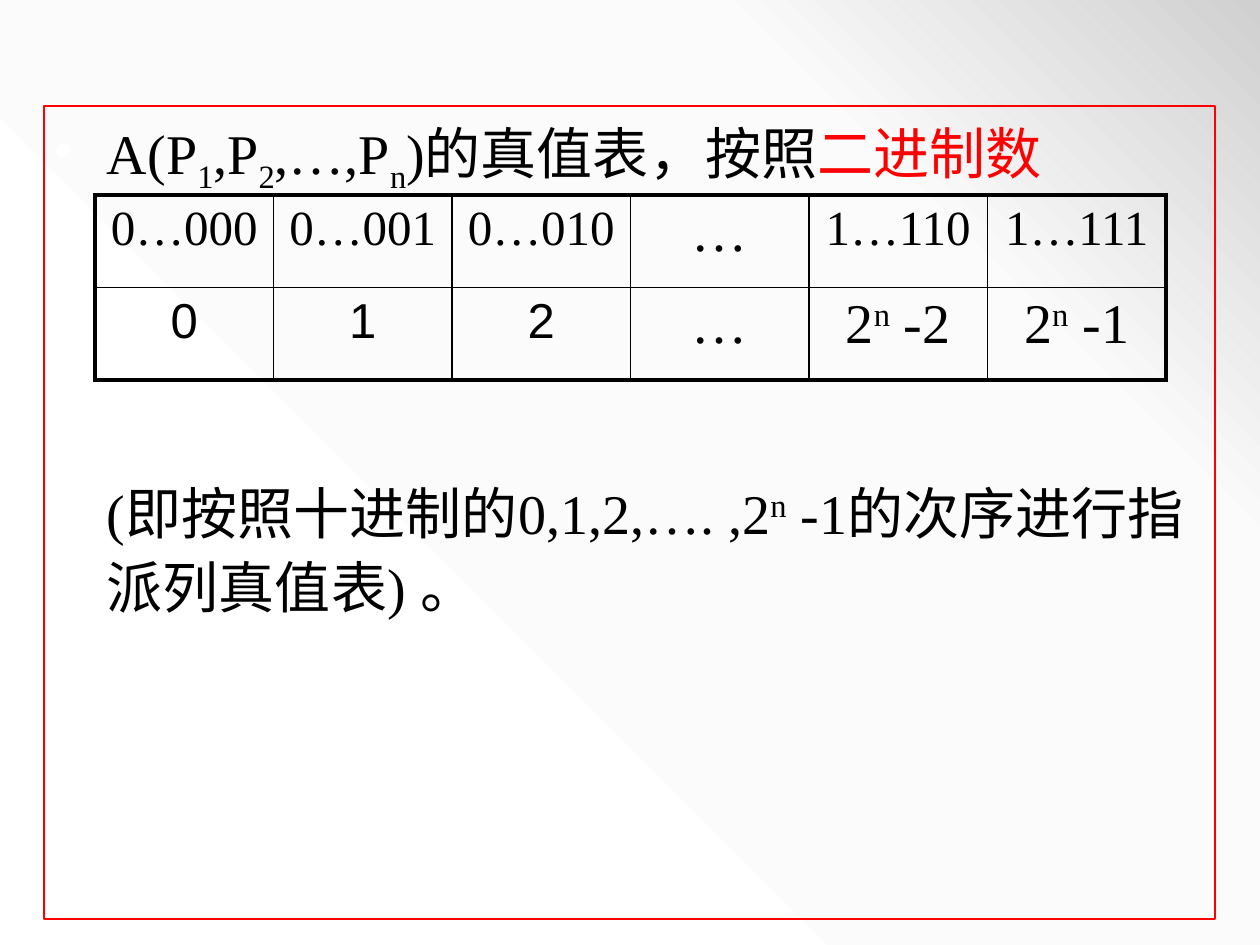
from copy import deepcopy

from lxml import etree
from pptx import Presentation
from pptx.dml.color import RGBColor
from pptx.enum.text import MSO_ANCHOR, PP_ALIGN
from pptx.oxml.ns import qn
from pptx.util import Emu, Pt

BLACK = RGBColor(0, 0, 0)
RED = RGBColor(255, 0, 0)
STOPS = [
    (0, RGBColor(0xFF, 0xFF, 0xFF)),
    (0.75, RGBColor(0xFB, 0xFB, 0xFB)),
    (1, RGBColor(0xD0, 0xD0, 0xD0)),
]
CENTER = PP_ALIGN.CENTER
LEFT = PP_ALIGN.LEFT
TOP = MSO_ANCHOR.TOP
SERIF = "Times New Roman"
SANS = "Arial"
SUB, SUPER = -25, 30
THIN, THICK = 1, 2.25

# Each paragraph is a list of runs: text, baseline shift, colour
TITLE = [
    ("A(P", 0, BLACK), ("1", SUB, BLACK), (",P", 0, BLACK),
    ("2", SUB, BLACK), (",…,P", 0, BLACK), ("n", SUB, BLACK),
    (")的真值表，按照", 0, BLACK), ("二进制数", 0, RED),
]
NOTE = [
    ("(即按照十进制的0,1,2,…. ,2", 0, BLACK), ("n", SUPER, BLACK),
    (" -1的次序进行指派列真值表) 。", 0, BLACK),
]


def power(tail):
    """Runs for 2 to the n, then the tail."""
    return [("2", 0, BLACK), ("n", SUPER, BLACK), (tail, 0, BLACK)]


def plain(text):
    return [(text, 0, BLACK)]


DOTS = (plain("…"), 32, SERIF)
ROWS = [
    [(plain("0…000"), 28, SERIF), (plain("0…001"), 28, SERIF),
     (plain("0…010"), 28, SERIF), DOTS,
     (plain("1…110"), 28, SERIF), (plain("1…111"), 28, SERIF)],
    [(plain("0"), 28, SANS), (plain("1"), 28, SANS),
     (plain("2"), 28, SANS), DOTS,
     (power(" -2"), 32, SERIF), (power(" -1"), 32, SERIF)],
]


def px(count):
    return Emu(round(count * 914400 / 126))


def paint(slide):
    """Fill the background with a three-stop gradient."""
    fill = slide.background.fill
    fill.gradient()
    fill.gradient_angle = 45
    last = slide.element.findall(".//" + qn("a:gs"))[-1]
    last.addnext(deepcopy(last))
    for stop, (place, color) in zip(fill.gradient_stops, STOPS):
        stop.position = place
        stop.color.rgb = color


def write(para, runs, size, font, align):
    para.alignment = align
    para.font.size = Pt(size)
    para.font.name = font
    for text, base, color in runs:
        run = para.add_run()
        run.text = text
        run.font.color.rgb = color
        if base:
            run.font._element.set("baseline", str(base * 1000))


def bullet(para):
    """Give the paragraph a white bullet and a hanging indent."""
    props = para._p.get_or_add_pPr()
    props.set("marL", str(px(53)))
    props.set("indent", str(-px(53)))
    tint = etree.SubElement(props, qn("a:buClr"))
    etree.SubElement(tint, qn("a:srgbClr"), val="FFFFFF")
    etree.SubElement(props, qn("a:buChar"), char="•")


def add_body(slide):
    box = slide.shapes.add_textbox(px(44), px(106), px(1171), px(813))
    box.line.color.rgb = RED
    box.line.width = Pt(0.75)
    frame = box.text_frame
    frame.word_wrap = True
    frame.vertical_anchor = TOP
    frame.margin_left = frame.margin_right = px(10)
    frame.margin_top = frame.margin_bottom = px(5)
    first, second = frame.paragraphs[0], frame.add_paragraph()
    for para, runs in ((first, TITLE), (second, NOTE)):
        bullet(para)
        para.line_spacing = 1.1
        write(para, runs, 32, SERIF, LEFT)
    second.space_before = Pt(158)


def edge(cell, side, width):
    props = cell._tc.get_or_add_tcPr()
    line = etree.SubElement(props, qn("a:" + side), w=str(Pt(width)))
    fill = etree.SubElement(line, qn("a:solidFill"))
    etree.SubElement(fill, qn("a:srgbClr"), val=str(BLACK))


def add_grid(slide):
    high, wide = len(ROWS), len(ROWS[0])
    frame = slide.shapes.add_table(high, wide, px(95), px(195), px(1071), px(185))
    table = frame.table
    table.first_row = table.horz_banding = False
    for y, row in enumerate(ROWS):
        for x, (runs, size, font) in enumerate(row):
            cell = table.cell(y, x)
            outer = {"lnL": x == 0, "lnR": x == wide - 1,
                     "lnT": y == 0, "lnB": y == high - 1}
            for side, thick in outer.items():
                edge(cell, side, THICK if thick else THIN)
            cell.fill.background()
            write(cell.text_frame.paragraphs[0], runs, size, font, CENTER)


def main():
    deck = Presentation()
    deck.slide_width, deck.slide_height = px(1260), px(945)
    slide = deck.slides.add_slide(deck.slide_layouts[6])
    paint(slide)
    add_body(slide)
    add_grid(slide)
    deck.save("out.pptx")


if __name__ == "__main__":
    main()
